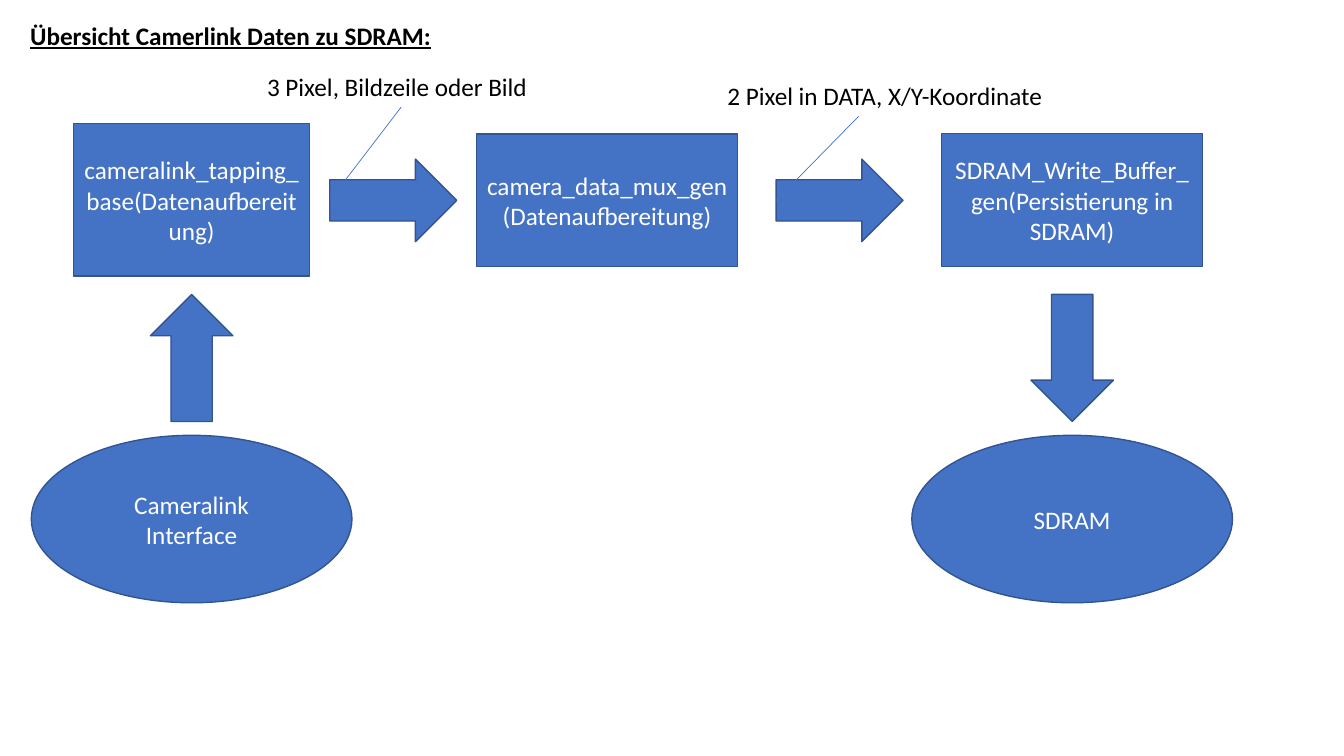
import pptx
import pptx.util
import pptx.oxml.ns
from pptx.dml.color import RGBColor
from pptx.enum.shapes import MSO_CONNECTOR, MSO_SHAPE
from pptx.enum.text import MSO_ANCHOR, PP_ALIGN
from pptx.util import Cm

COLORS = {"fill": "4472C4", "edge": "325491", "light": "FFFFFF", "dark": "000000"}
BODY = {"name": "Calibri", "size": pptx.util.Pt(18)}
HEADING = {**BODY, "bold": True, "underline": True}
ARROW_W, ARROW_H = 3.2, 2.08


def color(name):
    return RGBColor.from_string(COLORS[name])


def write(tf, text, color_name, font=BODY):
    p = tf.paragraphs[0]
    r = p.add_run()
    r.text = text
    for key, value in font.items():
        setattr(r.font, key, value)
    r.font.color.rgb = color(color_name)
    return p


def add_block(s, kind, cx, cy, width, height, text=""):
    """Filled shape placed by its centre."""
    sp = s.shapes.add_shape(kind, Cm(cx - width / 2), Cm(cy - height / 2),
                            Cm(width), Cm(height))
    sp.shadow.inherit = False
    sp.fill.solid()
    sp.fill.fore_color.rgb = color("fill")
    sp.line.color.rgb = color("edge")
    sp.line.width = pptx.util.Pt(1)
    if text:
        tf = sp.text_frame
        tf.word_wrap = True
        tf.vertical_anchor = MSO_ANCHOR.MIDDLE
        write(tf, text, "light").alignment = PP_ALIGN.CENTER
    return sp


def add_label(s, box, text, font=BODY, wrap=True):
    tf = s.shapes.add_textbox(*map(Cm, box)).text_frame
    tf.word_wrap = wrap
    write(tf, text, "dark", font)


def add_column(s, box, process_size, process, endpoint, rotation):
    """Process on top, vertical arrow, endpoint ellipse at the bottom."""
    left, top, width, height = box
    cx = left + width / 2
    ellipse_h = 4.22
    add_block(s, MSO_SHAPE.RECTANGLE, cx, top + 1.92, *process_size, process)
    arrow = add_block(s, MSO_SHAPE.RIGHT_ARROW, cx, top + 5.9, ARROW_W, ARROW_H)
    arrow.rotation = rotation
    add_block(s, MSO_SHAPE.OVAL, cx, top + height - ellipse_h / 2,
              width, ellipse_h, endpoint)


def add_transfer(s, box, label_box, label, callout_dx):
    """Horizontal arrow with a label above, joined by a callout line."""
    left, top, width, height = box
    cy = top + height / 2
    add_block(s, MSO_SHAPE.RIGHT_ARROW, left + width / 2, cy, width, height)
    dx, dy, label_w, label_h = label_box
    label_top = top + dy
    add_label(s, (left + dx, label_top, label_w, label_h), label)
    line = s.shapes.add_connector(
        MSO_CONNECTOR.STRAIGHT, Cm(left), Cm(cy),
        Cm(left + callout_dx), Cm(label_top + label_h))
    line.line.color.rgb = color("fill")
    line.line.width = pptx.util.Pt(0.5)
    sp_pr = line._element.spPr
    sp_pr.append(sp_pr.makeelement(pptx.oxml.ns.qn("a:effectLst"), {}))


prs = pptx.Presentation()
prs.slide_width, prs.slide_height = Cm(33.87), Cm(19.05)
s = prs.slides.add_slide(prs.slide_layouts[6])

# Heading
add_label(s, (0.51, 0.38, 10.69, 1.02), "Übersicht Camerlink Daten zu SDRAM:",
          HEADING, wrap=False)

# Input and output columns
PROCESS = (6.58, 3.35)
add_column(s, (0.79, 3.12, 8.08, 12.07), (5.94, 3.84),
           "cameralink_tapping_base(Datenaufbereitung)", "Cameralink Interface", 270)
add_column(s, (22.98, 3.12, 8.08, 12.07), PROCESS,
           "SDRAM_Write_Buffer_gen(Persistierung in SDRAM)", "SDRAM", 90)

# Multiplexer between the columns
add_block(s, MSO_SHAPE.RECTANGLE, 15.3, 5.05, *PROCESS,
          "camera_data_mux_gen(Datenaufbereitung)")

# Transfers between the processes
for left, label_box, label, callout_dx in (
    (8.31, (-1.83, -2.33, 7.29, 1.02), "3 Pixel, Bildzeile oder Bild", 1.8),
    (19.56, (-1.48, -2.1, 10.31, 1.02), "2 Pixel in DATA, X/Y-Koordinate", 2.08),
):
    add_transfer(s, (left, 4.01, ARROW_W, ARROW_H), label_box, label, callout_dx)

prs.save("out.pptx")
